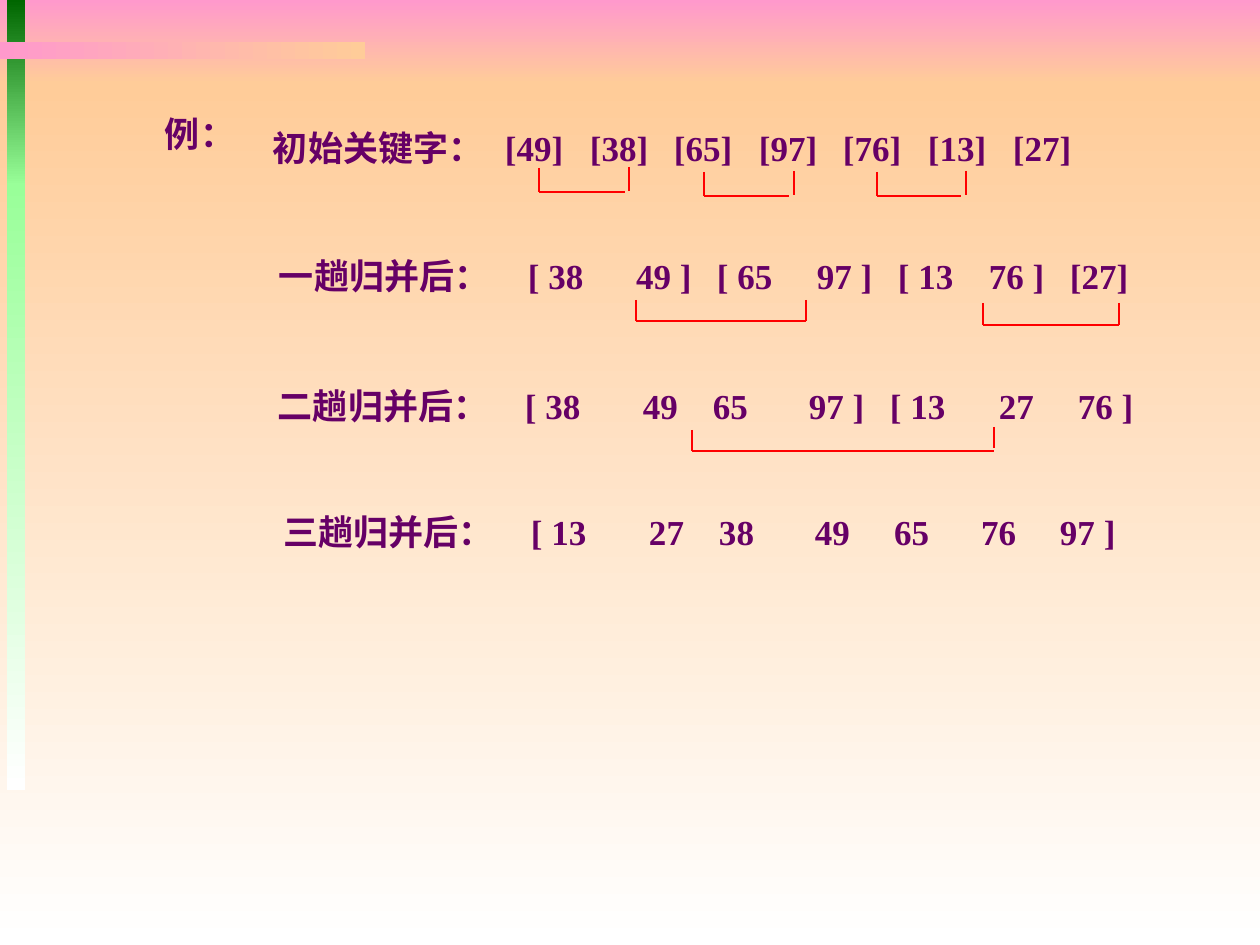
from lxml.etree import SubElement
from pptx import Presentation
from pptx.dml.color import RGBColor
from pptx.enum.shapes import MSO_CONNECTOR, MSO_SHAPE
from pptx.oxml.ns import qn
from pptx.util import Pt

EMU_PER_PX = 914400 // 126
WIDTH, HEIGHT = 1260, 945


def px(length):
    return length * EMU_PER_PX


def color(hex_string):
    return RGBColor.from_string(hex_string)


class SlideBuilder:
    cjk_font = "Noto Sans CJK SC"
    latin_font = "Times New Roman"
    text_color = "660066"
    line_color = "FF0000"
    text_size = 20
    inset_x, inset_y = 13, 6

    def __init__(self, slide):
        self.slide = slide

    def gradient_bar(self, left, top, width, height, start, end, angle=270):
        shape = self.slide.shapes.add_shape(
            MSO_SHAPE.RECTANGLE, px(left), px(top), px(width), px(height))
        shape.shadow.inherit = False
        shape.line.fill.background()
        shape.fill.gradient()
        shape.fill.gradient_angle = angle
        for stop, stop_color in zip(shape.fill.gradient_stops, (start, end)):
            stop.color.rgb = color(stop_color)

    def key_row(self, left, top, width, label, keys=()):
        """Write a label, then each (x, key) pair at its own tab stop."""
        box = self.slide.shapes.add_textbox(px(left), px(top), px(width), px(55))
        frame = box.text_frame
        frame.word_wrap = True
        frame.margin_left = px(self.inset_x)
        frame.margin_right = 0
        frame.margin_top = frame.margin_bottom = px(self.inset_y)
        paragraph = frame.paragraphs[0]
        if keys:
            tabs = SubElement(paragraph._p.get_or_add_pPr(), qn("a:tabLst"))
            for x, _ in keys:
                position = px(x - left - self.inset_x)
                SubElement(tabs, qn("a:tab"), pos=str(position), algn="l")
        paragraph.font.size = Pt(self.text_size)
        paragraph.font.bold = True
        paragraph.font.color.rgb = color(self.text_color)
        self.run(paragraph, label, self.cjk_font)
        if keys:
            text = "".join("\t" + key for _, key in keys)
            self.run(paragraph, text, self.latin_font)

    def run(self, paragraph, text, font_name):
        run = paragraph.add_run()
        run.text = text
        run.font.name = font_name
        SubElement(run._r.get_or_add_rPr(), qn("a:ea"), typeface=self.cjk_font)

    def line(self, x1, y1, x2, y2):
        connector = self.slide.shapes.add_connector(
            MSO_CONNECTOR.STRAIGHT, px(x1), px(y1), px(x2), px(y2))
        connector.line.color.rgb = color(self.line_color)
        connector.line.width = Pt(0.75)
        SubElement(connector._element.spPr, qn("a:effectLst"))

    def merge_bracket(self, left, right, top, bottom, gap=0, lift=0):
        self.line(left, top, left, bottom)
        self.line(left, bottom, right - gap, bottom)
        self.line(right, top - lift, right, bottom - lift)


def main():
    presentation = Presentation()
    presentation.slide_width = px(WIDTH)
    presentation.slide_height = px(HEIGHT)
    slide = presentation.slides.add_slide(presentation.slide_layouts[6])
    builder = SlideBuilder(slide)

    # Background and decorative bars
    builder.gradient_bar(0, 0, WIDTH, 84, "FF99CC", "FFCC99")
    builder.gradient_bar(0, 84, WIDTH, HEIGHT - 84, "FFCC99", "FFFFFF")
    builder.gradient_bar(7, 0, 18, 186, "006600", "99FF99")
    builder.gradient_bar(7, 184, 18, 606, "99FF99", "FFFFFF")
    builder.gradient_bar(0, 42, 365, 17, "FF99CC", "FFCC99", angle=0)

    # Keys at the start and after each merge pass
    builder.key_row(152, 106, 95, "例：")
    initial = ["[49]", "[38]", "[65]", "[97]", "[76]", "[13]", "[27]"]
    builder.key_row(260, 120, 840, "初始关键字：", [
        (505 + round(84.6 * index), key) for index, key in enumerate(initial)])
    builder.key_row(266, 248, 890, "一趟归并后：", [
        (528, "[ 38"), (636, "49 ]"), (717, "[ 65"), (817, "97 ]"),
        (898, "[ 13"), (989, "76 ]"), (1070, "[27]")])
    builder.key_row(265, 378, 895, "二趟归并后：", [
        (525, "[ 38"), (643, "49"), (713, "65"), (809, "97 ]"),
        (890, "[ 13"), (999, "27"), (1078, "76 ]")])
    builder.key_row(270, 504, 875, "三趟归并后：", [
        (531, "[ 13"), (649, "27"), (719, "38"), (815, "49"),
        (894, "65"), (981, "76"), (1060, "97 ]")])

    # Brackets joining the runs to be merged
    builder.merge_bracket(539, 629, 168, 192, gap=4, lift=1)
    for left, right in ((704, 794), (877, 966)):
        builder.merge_bracket(left, right, 172, 196, gap=5, lift=1)
    builder.merge_bracket(636, 806, 300, 321)
    builder.merge_bracket(983, 1119, 303, 325)
    builder.merge_bracket(692, 994, 430, 451, lift=3)

    presentation.save("out.pptx")


if __name__ == "__main__":
    main()
